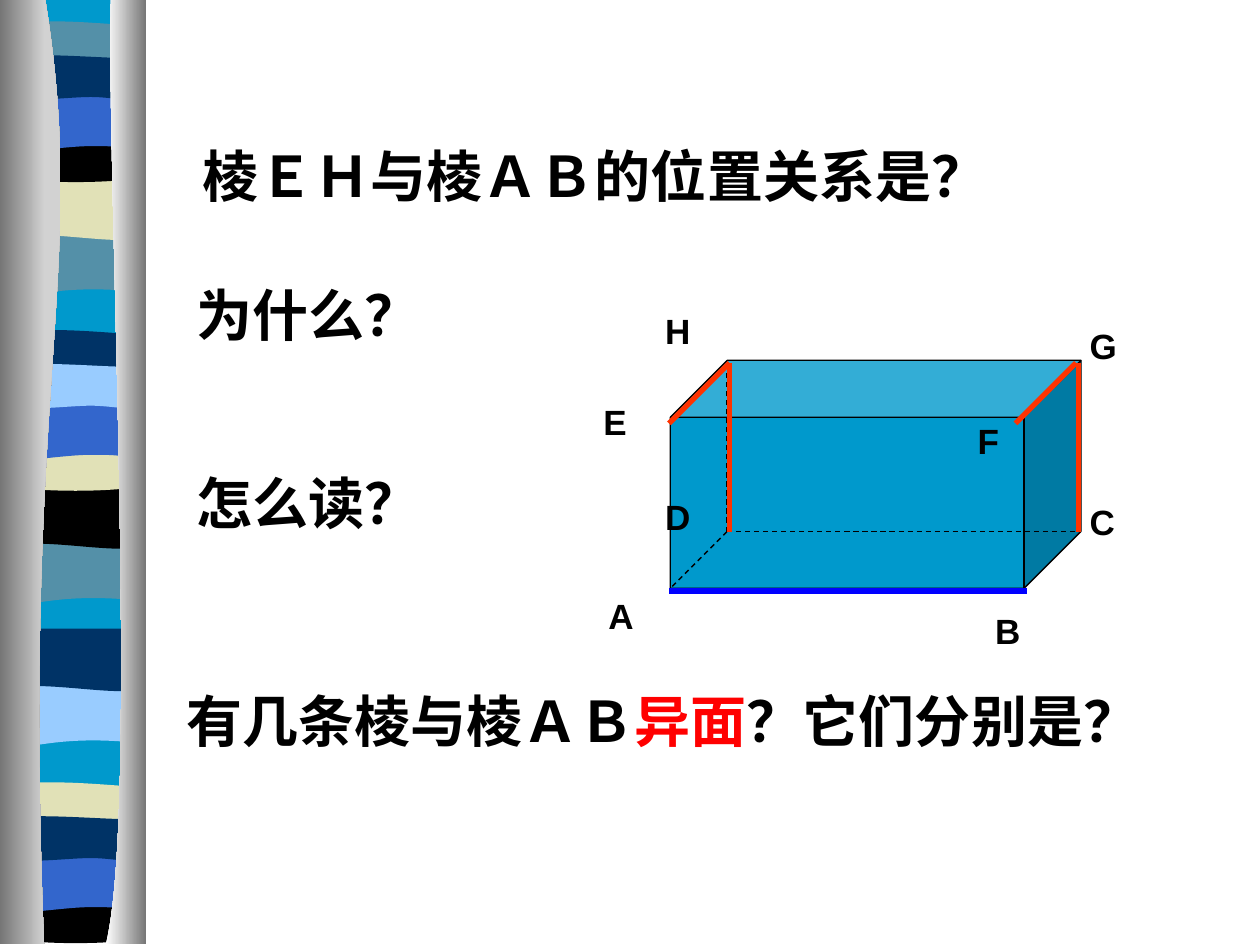
from lxml import etree
from pptx import Presentation
from pptx.dml.color import RGBColor
from pptx.enum.dml import MSO_LINE
from pptx.enum.shapes import MSO_CONNECTOR, MSO_SHAPE
from pptx.enum.text import MSO_ANCHOR, MSO_AUTO_SIZE, PP_ALIGN
from pptx.oxml.ns import qn
from pptx.util import Inches, Pt

STRAIGHT, CUBE = MSO_CONNECTOR.STRAIGHT, MSO_SHAPE.CUBE
DASH, TOP, LEFT = MSO_LINE.DASH, MSO_ANCHOR.TOP, PP_ALIGN.LEFT
NO_AUTOSIZE = MSO_AUTO_SIZE.NONE
CJK, LATIN = "Noto Sans CJK SC", "Arial"
BLACK, RED, BLUE, ORANGE = "000000", "FF0000", "0000FF", "FF3300"
SKY, TEAL, NAVY, ROYAL = "0099CC", "5490A8", "003366", "3366CC"
SAND, PALE, STEEL = "E1E1B7", "99CCFF", "767676"

# Outlines: a pair is a straight step, six numbers are a cubic curve
BAND_OUTLINES = {
    "slope": [(1.08, 0), (1.08, 0.47), (0.33, 0.39, 0.18, 0.55, 0, 0.47), (0, 0)],
    "swell": [(1.08, 0), (1.08, 0.47), (0.9, 0.55, 0.33, 0.41, 0, 0.47), (0, 0)],
    "ripple": [(1.08, 0), (1.08, 0.24), (0.9, 0.28, 0.18, 0.28, 0, 0.24), (0, 0),
               (0.06, -0.05, 0.23, -0.04, 0.41, -0.04),
               (0.59, -0.04, 0.94, -0.01, 1.08, 0)],
    "bowl": [(1.08, 0), (1.08, 0.32), (0.9, 0.38, 0.18, 0.38, 0, 0.32), (0, 0),
             (0.66, 0.05, 0.85, 0, 1.08, 0)],
    "arch": [(1.08, 0), (1.08, 0.47), (0.91, 0.42, 0.84, 0.42, 0.66, 0.42),
             (0.48, 0.42, 0.16, 0.47, 0, 0.47), (0, 0)],
    "crest": [(1.08, 0), (1.08, 0.31), (1.01, 0.36, 0.84, 0.31, 0.66, 0.31),
              (0.48, 0.31, 0.11, 0.36, 0, 0.31), (0, 0),
              (0.15, -0.05, 0.73, 0, 0.91, 0), (1.09, 0, 1.04, 0, 1.08, 0)],
}
BAND_TOPS = {"slope": 1.85, "swell": 1.41, "ripple": 0.21,
             "bowl": 1.08, "arch": 0.74, "crest": 0.46}
# Each repeat of the pattern: shift down and its colours
BAND_REPEATS = [
    (0, {"slope": TEAL, "swell": SAND, "ripple": TEAL,
         "bowl": BLACK, "arch": ROYAL, "crest": NAVY}),
    (2.45, {"slope": TEAL, "swell": BLACK, "ripple": NAVY,
            "bowl": SAND, "arch": ROYAL, "crest": PALE}),
    (3.58, {"slope": PALE, "swell": NAVY}),
    (6.04, {"ripple": SAND, "bowl": BLACK, "arch": ROYAL, "crest": NAVY}),
]
LEFT_PILLAR = [(0, 0), (0.36, 0), (0.71, 2.16, 0.17, 2.96, 0.35, 7.49), (0, 7.49)]
RIGHT_PILLAR = [(1.16, 0), (0.88, 0), (0.84, 1.25, 1.11, 6.46, 0.84, 7.49), (1.16, 7.49)]


def rgb(colour):
    return RGBColor.from_string(colour)


def add_outline(slide, left, top, outline, *colours):
    """Draw a filled outline; two colours make a left-to-right gradient."""
    points = [(Inches(left + part[-2]), Inches(top + part[-1])) for part in outline]
    builder = slide.shapes.build_freeform(*points[0])
    builder.add_line_segments(points[1:], close=True)
    shape = builder.convert_to_shape()

    # Bend the straight steps that have control points
    steps = list(shape._element.iter(qn("a:lnTo")))
    for step, part in zip(steps, outline[1:]):
        if len(part) == 6:
            step.tag = qn("a:cubicBezTo")
            for index in (0, 1):
                x, y = part[2 * index:2 * index + 2]
                control = etree.Element(qn("a:pt"),
                                        x=str(Inches(left + x) - shape.left),
                                        y=str(Inches(top + y) - shape.top))
                step.insert(index, control)

    shape.shadow.inherit = False
    shape.line.fill.background()
    if len(colours) == 1:
        shape.fill.solid()
        shape.fill.fore_color.rgb = rgb(colours[0])
        return
    shape.fill.gradient()
    shape.fill.gradient_angle = 0
    for stop, colour in zip(shape.fill.gradient_stops, colours):
        stop.color.rgb = rgb(colour)


def add_line(slide, start, end, colour, width, dash=None):
    line = slide.shapes.add_connector(STRAIGHT, *map(Inches, start + end))
    line.line.color.rgb = rgb(colour)
    line.line.width = Pt(width)
    if dash:
        line.line.dash_style = dash
    etree.SubElement(line._element.spPr, qn("a:effectLst"))


def write(shape, parts, size, font):
    """Fill a text shape with (text, colour) parts in one paragraph."""
    frame = shape.text_frame
    frame.word_wrap = True
    frame.auto_size = NO_AUTOSIZE
    frame.vertical_anchor = TOP
    paragraph = frame.paragraphs[0]
    paragraph.alignment = LEFT
    for text, colour in parts:
        run = paragraph.add_run()
        run.text = text
        run.font.size, run.font.bold, run.font.name = Pt(size), True, font
        run.font.color.rgb = rgb(colour)
        east_asian = etree.Element(qn("a:ea"), typeface=font)
        run._r.rPr.find(qn("a:latin")).addnext(east_asian)
    return paragraph


def add_question(slide, box, *parts, shape=None):
    """Write a question with a hanging indent."""
    lengths = [Inches(value) for value in box]
    shape = shape or slide.shapes.add_textbox(*lengths)
    shape.left, shape.top, shape.width, shape.height = lengths
    properties = write(shape, parts, 32, CJK)._p.get_or_add_pPr()
    properties.set("marL", str(Inches(0.67)))
    properties.set("indent", str(-Inches(0.67)))


def add_side_strip(slide, left, top, width, height):
    # Backing, wavy bands, then the two pillars over their edges
    backing = [(0, 0), (width, 0), (width, height), (0, height)]
    add_outline(slide, left, top, backing, SKY)
    for shift, colours in BAND_REPEATS:
        for kind, colour in colours.items():
            add_outline(slide, left, top + BAND_TOPS[kind] + shift,
                        BAND_OUTLINES[kind], colour)
    add_outline(slide, 0, top, LEFT_PILLAR, STEEL, "D2D2D2")
    add_outline(slide, 0, top, RIGHT_PILLAR, "FFFFFF", STEEL)


def add_cuboid(slide, left, top, width, height):
    depth = 0.45
    right, bottom = left + width, top + height
    back_left, back_bottom = left + depth, bottom - depth
    front_right, front_top = right - depth, top + depth

    cuboid = slide.shapes.add_shape(CUBE, *map(Inches, (left, top, width, height)))
    cuboid.adjustments[0] = 0.25
    cuboid.shadow.inherit = False
    cuboid.fill.solid()
    cuboid.fill.fore_color.rgb = rgb(SKY)
    cuboid.line.color.rgb = rgb(BLACK)
    cuboid.line.width = Pt(0.75)

    # Hidden edges meet at D
    corner_d = (back_left, back_bottom)
    for end in ((back_left, top), (right, back_bottom), (left, bottom)):
        add_line(slide, corner_d, end, BLACK, 0.75, DASH)

    # Vertex letters, offset from the cuboid's corner
    letters = {"A": (-0.59, 1.81), "B": (2.48, 1.93), "C": (3.23, 1.06),
               "D": (-0.14, 1.02), "E": (-0.63, 0.27), "F": (2.34, 0.42),
               "G": (3.23, -0.33), "H": (-0.14, -0.45)}
    for letter, (dx, dy) in letters.items():
        label = slide.shapes.add_textbox(
            *map(Inches, (left + dx, top + dy, 0.78, 0.44)))
        write(label, [(letter, BLACK)], 20, LATIN)

    # Edges skew to AB, then AB itself
    nudge = 0.02
    for x in (back_left + nudge, right - nudge):
        add_line(slide, (x, top + nudge), (x, back_bottom), ORANGE, 3)
    for x in (left, front_right - 0.06):
        add_line(slide, (x - 0.01, front_top + 0.05),
                 (x + depth + nudge, top + nudge), ORANGE, 3)
    add_line(slide, (left - 0.01, bottom + nudge),
             (front_right + nudge, bottom + nudge), BLUE, 3)


def main():
    deck = Presentation()
    deck.slide_width, deck.slide_height = Inches(10), Inches(7.5)
    slide = deck.slides.add_slide(deck.slide_layouts[5])  # title only

    add_side_strip(slide, 0.06, 0, 1.08, 7.48)
    add_question(slide, (1.51, 1.07, 6.95, 0.64),
                 ("棱ＥＨ与棱ＡＢ的位置关系是？", BLACK), shape=slide.shapes.title)
    add_cuboid(slide, 5.32, 2.86, 3.26, 1.81)
    add_question(slide, (1.46, 2.18, 2.2, 1.17), ("为什么？　", BLACK))
    add_question(slide, (1.46, 3.67, 2.68, 0.64), ("怎么读？　", BLACK))
    add_question(slide, (1.38, 5.4, 8.11, 0.64), ("有几条棱与棱ＡＢ", BLACK),
                 ("异面", RED), ("？它们分别是？", BLACK))
    deck.save("out.pptx")


if __name__ == "__main__":
    main()
